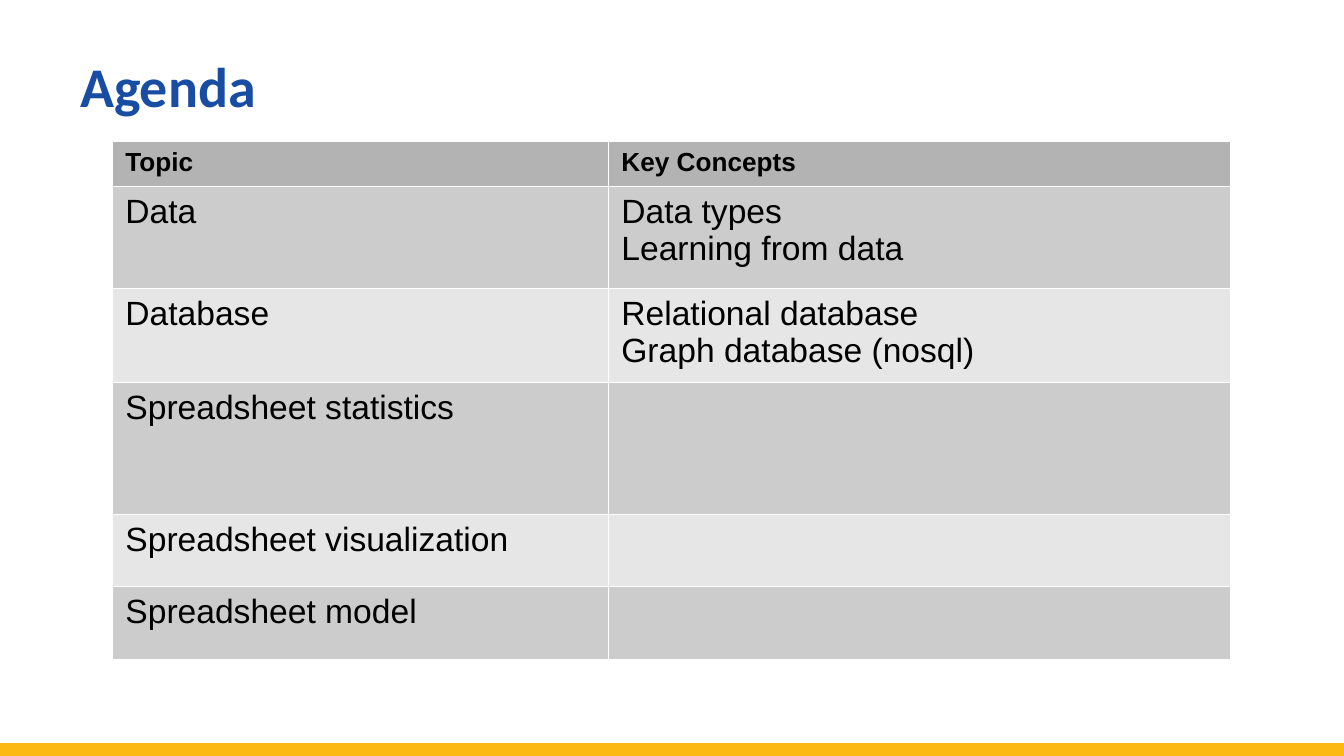
import pptx
import pptx.util
import pptx.dml.color
import pptx.enum.text
import pptx.oxml
import pptx.oxml.ns
import lxml.etree

PX = 914400 / 134.4
HUES = {"blue": "184DA3", "gold": "FDB913", "black": "000000", "white": "FFFFFF",
        "head": "B3B3B3", "dark": "CCCCCC", "light": "E6E6E6"}
TOPICS = [
    ("Topic", "Key Concepts"),
    ("Data", "Data types\nLearning from data"),
    ("Database", "Relational database\nGraph database (nosql)"),
    ("Spreadsheet statistics", ""),
    ("Spreadsheet visualization", ""),
    ("Spreadsheet model", ""),
]
COLS = [496, 622]
ROWS = [43, 102, 88, 132, 72, 73]


def emu(px):
    return pptx.util.Emu(round(px * PX))


def hue(name):
    return pptx.dml.color.RGBColor.from_string(HUES[name])


def style(frame, size, font, color, bold):
    for para in frame.paragraphs:
        for run in para.runs:
            run.font.size = pptx.util.Pt(size)
            run.font.name = font
            run.font.bold = bold
            run.font.color.rgb = hue(color)


def border(cell):
    # Borders come before the fill in the cell properties
    props = cell._tc.get_or_add_tcPr()
    for spot, side in enumerate(("lnL", "lnR", "lnT", "lnB")):
        line = pptx.oxml.parse_xml(
            f'<a:{side} {pptx.oxml.ns.nsdecls("a")} w="762"><a:solidFill>'
            f'<a:srgbClr val="{HUES["white"]}"/></a:solidFill></a:{side}>')
        props.insert(spot, line)


def add_bar(slide, left, mid, width):
    bar = slide.shapes.add_connector(1, emu(left), emu(mid), emu(left + width), emu(mid))
    bar.line.color.rgb = hue("gold")
    bar.line.width = pptx.util.Pt(8)
    lxml.etree.SubElement(bar._element.spPr, pptx.oxml.ns.qn("a:effectLst"))


def add_title(slide, left, top, width, height):
    box = slide.shapes.add_textbox(emu(left), emu(top), emu(width), emu(height))
    frame = box.text_frame
    frame.word_wrap = True
    frame.vertical_anchor = pptx.enum.text.MSO_ANCHOR.MIDDLE
    frame.margin_bottom = emu(13)
    frame.text = "Agenda"
    style(frame, 30, "Calibri", "blue", True)


def add_topics(slide, left, top):
    table = slide.shapes.add_table(
        len(ROWS), len(COLS), emu(left), emu(top), emu(sum(COLS)), emu(sum(ROWS))).table
    for col, width in zip(table.columns, COLS):
        col.width = emu(width)
    for r, texts in enumerate(TOPICS):
        table.rows[r].height = emu(ROWS[r])
        shade = "head" if r == 0 else "dark" if r % 2 else "light"
        for c, text in enumerate(texts):
            cell = table.cell(r, c)
            cell.fill.solid()
            cell.fill.fore_color.rgb = hue(shade)
            border(cell)
            if text:
                cell.text_frame.text = text
                style(cell.text_frame, 18 if r else 14, "Arial", "black", r == 0)


deck = pptx.Presentation()
deck.slide_width, deck.slide_height = emu(1344), emu(756)
slide = deck.slides.add_slide(deck.slide_layouts[6])

# Footer bar, heading, agenda table
add_bar(slide, 0, 750, 1344)
add_title(slide, 67, 0, 1210, 176)
add_topics(slide, 112, 141)

deck.save("out.pptx")
